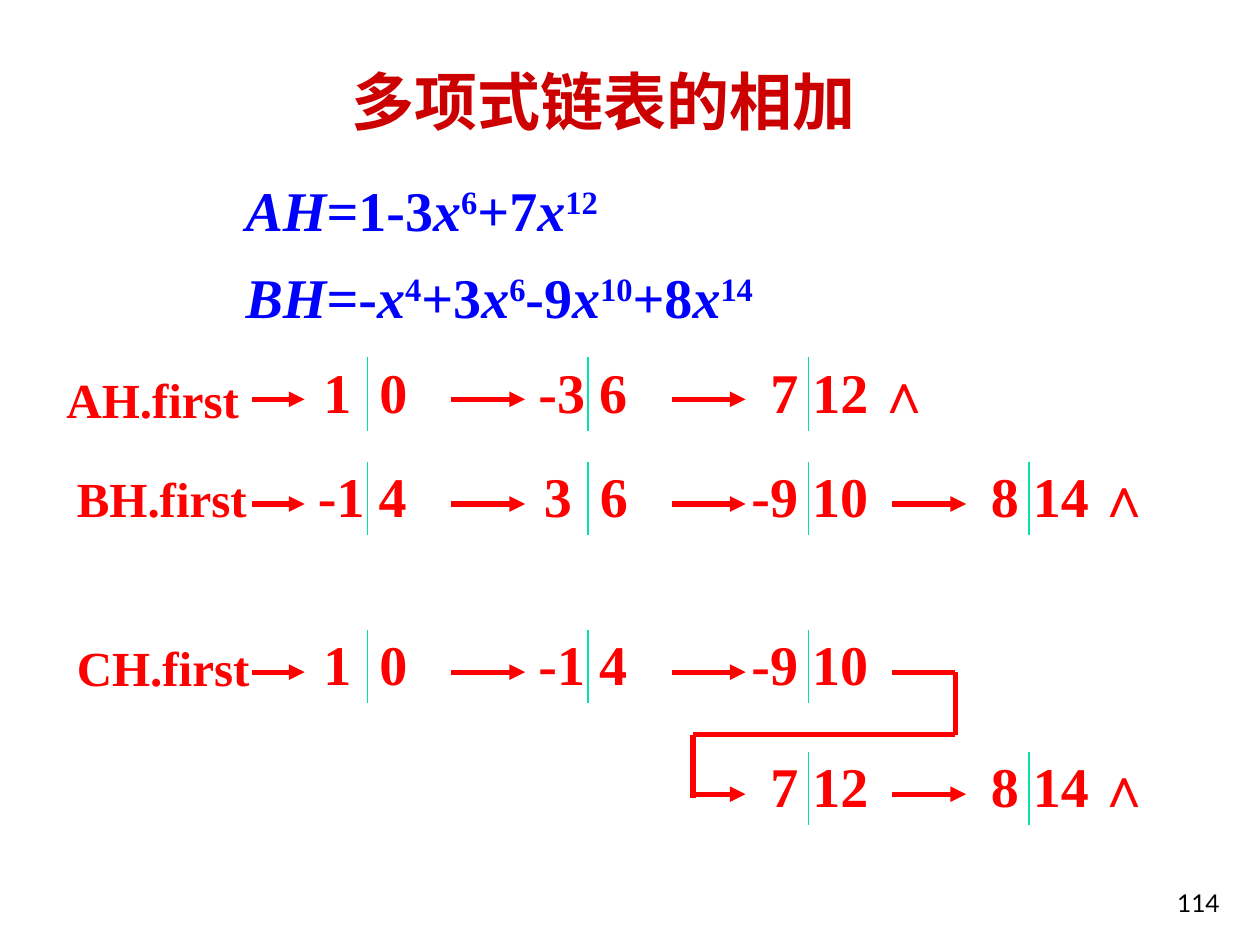
"""Builds a slide on adding two polynomials stored as linked lists."""
import pptx
import pptx.util
import pptx.dml.color
import pptx.enum.shapes
import pptx.enum.text
import pptx.oxml.ns
from lxml import etree
from pptx.util import Cm, Pt

RED, BLUE, GREEN, TITLE_RED, BLACK = "FF0000", "0000FF", "00E4A8", "CC0000", "000000"
TITLE = "多项式链表的相加"
PAGE = "114"
POLYNOMIALS = [
    ("AH", [("=1-3", "6"), ("+7", "12")]),
    ("BH", [("=-", "4"), ("+3", "6"), ("-9", "10"), ("+8", "14")]),
]
CHAINS = [
    {"top": 7.2, "column": 0, "ends": True, "nodes": [("1", "0"), ("-3", "6"), ("7", "12")]},
    {"top": 9.31, "column": 0, "ends": True,
     "nodes": [("-1", "4"), ("3", "6"), ("-9", "10"), ("8", "14")]},
    {"top": 12.7, "column": 0, "ends": False, "nodes": [("1", "0"), ("-1", "4"), ("-9", "10")]},
    {"top": 15.16, "column": 2, "ends": True, "nodes": [("7", "12"), ("8", "14")]},
]
HEADS = [("AH.first", 1.09, 7.32), ("BH.first", 1.3, 9.32), ("CH.first", 1.3, 12.73)]
WRAP_AROUND = [(17.98, 13.55), (19.26, 13.55), (19.26, 14.81), (13.97, 14.81), (13.97, 16.08)]
FIRST_DIVIDER, PITCH, DIVIDER_HEIGHT = 7.41, 4.445, 1.48
NODE_FIT = {(1, 1): (1.14, 2.21), (2, 1): (1.25, 2.29), (2, 2): (1.4, 2.87), (1, 2): (1.02, 2.49)}


def color(value):
    return pptx.dml.color.RGBColor.from_string(value)


def write(slide, text, box, size=32, fill=RED, face="Times New Roman", bold=True, wrap=False,
          inset=(0.25, 0.13), align=None, anchor=None, line_spacing=None, before=0):
    frame = slide.shapes.add_textbox(*map(Cm, box)).text_frame
    frame.word_wrap = wrap
    frame.margin_left = frame.margin_right = Cm(inset[0])
    frame.margin_top = frame.margin_bottom = Cm(inset[1])
    if anchor is not None:
        frame.vertical_anchor = anchor
    paragraphs = [[(text, {})]] if isinstance(text, str) else text
    for index, pieces in enumerate(paragraphs):
        paragraph = frame.add_paragraph() if index else frame.paragraphs[0]
        paragraph.alignment = align
        paragraph.line_spacing = line_spacing
        if index:
            paragraph.space_before = Pt(before)
        for words, attributes in pieces:
            run = paragraph.add_run()
            run.text = words
            run.font.size = Pt(size)
            run.font.name = face
            run.font.bold = bold
            run.font.color.rgb = color(fill)
            for key, value in attributes.items():
                run.font._element.set(key, value)


def draw_line(slide, start, end, stroke=RED, width=3, arrow=False):
    line = slide.shapes.add_connector(
        pptx.enum.shapes.MSO_CONNECTOR.STRAIGHT, *map(Cm, start + end))
    line.line.color.rgb = color(stroke)
    line.line.width = Pt(width)
    if arrow:
        etree.SubElement(line.line._get_or_add_ln(), pptx.oxml.ns.qn("a:tailEnd"), type="triangle")
    etree.SubElement(line._element.spPr, pptx.oxml.ns.qn("a:effectLst"))


def formula(name, terms):
    pieces = [(name, {"i": "1"})]
    for coefficient, exponent in terms:
        pieces += [(coefficient, {}), ("x", {"i": "1"}), (exponent, {"baseline": "30000"})]
    return pieces


def draw_chain(slide, top, column, ends, nodes):
    arrow_y, text_top = top + 0.85, top - 0.13
    for index, (coefficient, exponent) in enumerate(nodes):
        divider = FIRST_DIVIDER + PITCH * (column + index)
        draw_line(slide, (divider, top), (divider, top + DIVIDER_HEIGHT), GREEN, 0.75)
        reach = 2.76 if index else 2.33
        draw_line(slide, (divider - reach, arrow_y), (divider - 1.27, arrow_y), arrow=True)
        digits = len(coefficient), len(exponent)
        offset, width = NODE_FIT[digits]
        gap = {"spc": "800"} if digits == (1, 1) else {}
        write(slide, [[(coefficient, {}), (" ", gap), (exponent, {})]],
              (divider - offset, text_top, width, 1.6))
    if ends:
        write(slide, "∧", (divider + 1.12, text_top, 1.19, 1.6))


def main():
    deck = pptx.Presentation()
    deck.slide_width, deck.slide_height = Cm(25.4), Cm(19.05)
    slide = deck.slides.add_slide(deck.slide_layouts[6])
    write(slide, PAGE, (19.56, 17.35, 5.28, 1.27), size=14, fill=BLACK, face="Lato", bold=False,
          wrap=True, align=pptx.enum.text.PP_ALIGN.RIGHT,
          anchor=pptx.enum.text.MSO_ANCHOR.BOTTOM)
    write(slide, TITLE, (6.78, 1.12, 12.52, 1.85), size=36, fill=TITLE_RED, wrap=True,
          inset=(0.3, 0.15))
    write(slide, [formula(*polynomial) for polynomial in POLYNOMIALS], (4.65, 3.25, 20.96, 3.61),
          fill=BLUE, wrap=True, inset=(0.3, 0.15), line_spacing=1.1, before=7.4)
    for head, left, top in HEADS:
        write(slide, head, (left, top, 4.04, 1.45), size=28)
    for chain in CHAINS:
        draw_chain(slide, **chain)
    for start, end in zip(WRAP_AROUND, WRAP_AROUND[1:]):
        draw_line(slide, start, end)
    deck.save("out.pptx")


if __name__ == "__main__":
    main()
